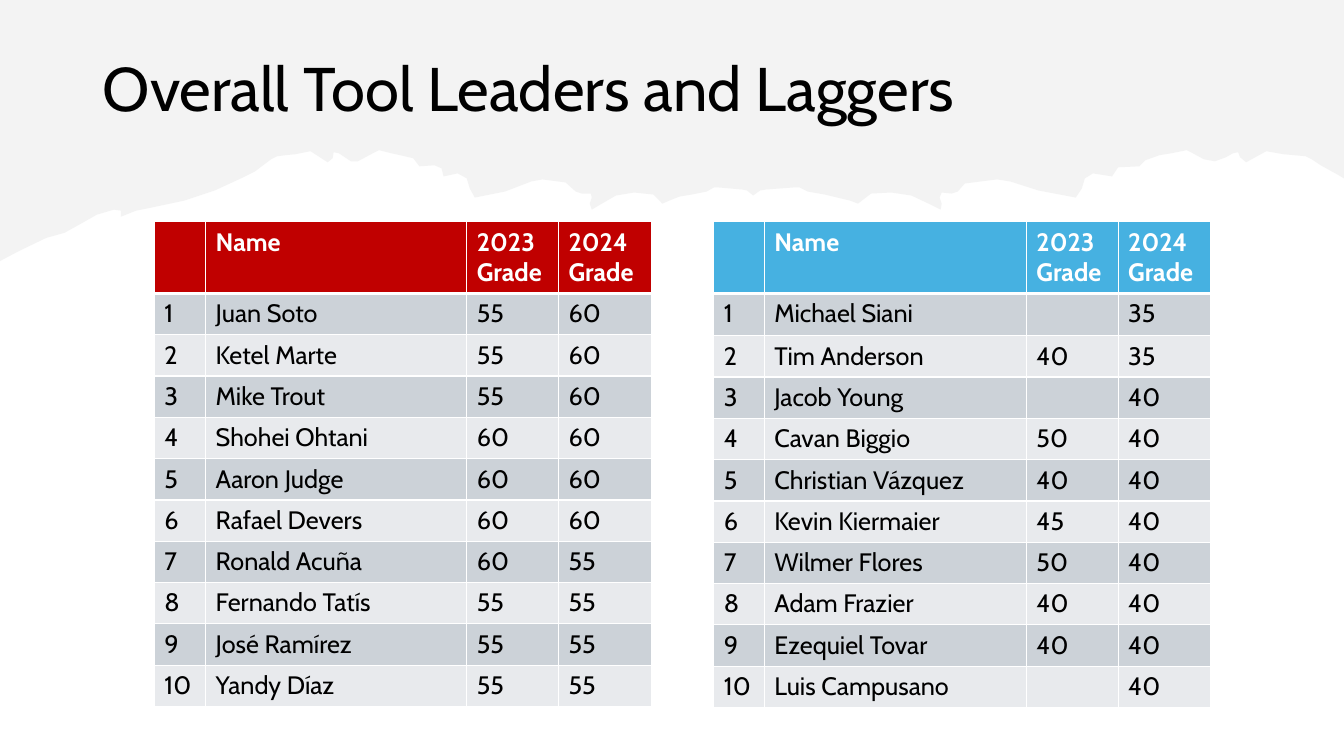
from lxml.etree import SubElement
from pptx import Presentation
from pptx.dml.color import RGBColor
from pptx.enum.text import MSO_ANCHOR, MSO_AUTO_SIZE, PP_ALIGN
from pptx.oxml.ns import qn
from pptx.util import Pt

PX = 9144  # 100 px to the inch
FONT = "Cabin"
BANDS = ["E8EAED", "CCD2D8"]
TABLE_TOP, HEADER_HEIGHT, ROW_HEIGHT = 220, 69, 41
HEADINGS = ["", "Name", "2023 Grade", "2024 Grade"]

TORN_EDGE = [
    (19, 249), (46, 236), (64, 231), (82, 221), (96, 213), (113, 208), (120, 209), (120, 215),
    (135, 209), (150, 206), (183, 199), (213, 189), (239, 177), (253, 170), (261, 164), (269, 158),
    (275, 155), (283, 154), (293, 153), (308, 150), (325, 161), (330, 157), (331, 151), (336, 152),
    (342, 156), (348, 160), (355, 160), (370, 152), (376, 149), (388, 152), (397, 154), (410, 157),
    (416, 165), (431, 164), (438, 167), (440, 175), (454, 172), (463, 177), (466, 187), (471, 196),
    (501, 190), (527, 180), (538, 178), (561, 181), (571, 190), (577, 192), (586, 192), (587, 196),
    (585, 202), (587, 208), (597, 202), (611, 194), (629, 191), (648, 193), (654, 199), (657, 202),
    (664, 199), (674, 195), (686, 193), (701, 190), (708, 186), (713, 186), (736, 188), (741, 189),
    (747, 194), (754, 189), (760, 188), (787, 186), (793, 186), (801, 190), (818, 193), (843, 199),
    (851, 202), (855, 199), (864, 192), (884, 191), (904, 194), (921, 202), (933, 208), (934, 202),
    (932, 196), (934, 191), (944, 192), (950, 190), (957, 182), (989, 178), (1002, 180), (1030, 189),
    (1067, 196), (1073, 187), (1076, 177), (1084, 172), (1103, 175), (1109, 166), (1130, 165),
    (1136, 159), (1150, 154), (1162, 152), (1177, 149), (1183, 152), (1194, 158), (1205, 160),
    (1216, 156), (1223, 152), (1228, 151), (1230, 156), (1236, 161), (1256, 150), (1273, 153),
    (1284, 154), (1295, 155), (1301, 158), (1310, 164), (1328, 174), (1333, 177), (1333, 0), (0, 0),
]

LEADERS = [
    ("Juan Soto", "55", "60"), ("Ketel Marte", "55", "60"), ("Mike Trout", "55", "60"),
    ("Shohei Ohtani", "60", "60"), ("Aaron Judge", "60", "60"), ("Rafael Devers", "60", "60"),
    ("Ronald Acuña", "60", "55"), ("Fernando Tatís", "55", "55"), ("José Ramírez", "55", "55"),
    ("Yandy Díaz", "55", "55"),
]
LAGGERS = [
    ("Michael Siani", "", "35"), ("Tim Anderson", "40", "35"), ("Jacob Young", "", "40"),
    ("Cavan Biggio", "50", "40"), ("Christian Vázquez", "40", "40"), ("Kevin Kiermaier", "45", "40"),
    ("Wilmer Flores", "50", "40"), ("Adam Frazier", "40", "40"), ("Ezequiel Tovar", "40", "40"),
    ("Luis Campusano", "", "40"),
]


def paint(color_format, color):
    color_format.rgb = RGBColor.from_string(color)


def add_border(cell, side, points):
    line = SubElement(cell._tc.get_or_add_tcPr(), qn(f"a:ln{side}"), w=str(Pt(points)))
    solid = SubElement(line, qn("a:solidFill"))
    SubElement(solid, qn("a:srgbClr"), val="FFFFFF")


deck = Presentation()
deck.slide_width, deck.slide_height = 1333 * PX, 750 * PX
page = deck.slides.add_slide(deck.slide_layouts[5])

# Title
title = page.shapes.title
title.left, title.top, title.width, title.height = 92 * PX, 40 * PX, 1150 * PX, 102 * PX
frame = title.text_frame
frame.text = "Overall Tool Leaders and Laggers"
frame.word_wrap = True
frame.auto_size = MSO_AUTO_SIZE.NONE
frame.vertical_anchor = MSO_ANCHOR.MIDDLE
para = frame.paragraphs[0]
para.alignment = PP_ALIGN.LEFT
para.line_spacing = 0.9
para.font.name, para.font.size = FONT, Pt(44)
paint(para.font.color, "000000")

# Torn paper band behind the title
builder = page.shapes.build_freeform(0, 259, scale=PX)
builder.add_line_segments(TORN_EDGE, close=True)
band = builder.convert_to_shape()
band.shadow.inherit = False
band.line.fill.background()
band.fill.solid()
paint(band.fill.fore_color, "E8E8E8")
band_color = band.element.spPr.find(qn("a:solidFill")).find(qn("a:srgbClr"))
SubElement(band_color, qn("a:alpha"), val="50000")
title.element.addprevious(band.element)

# Grade tables
for left, header_color, widths, first_height, players in [
    (153, "C00000", [51, 259, 91, 92], 41, LEADERS),
    (708, "46B1E1", [50, 260, 91, 92], 42, LAGGERS),
]:
    rows = [HEADINGS] + [(str(rank), *player) for rank, player in enumerate(players, 1)]
    heights = [HEADER_HEIGHT, first_height] + [ROW_HEIGHT] * (len(players) - 1)
    table = page.shapes.add_table(
        len(rows), len(widths), left * PX, TABLE_TOP * PX, sum(widths) * PX, sum(heights) * PX
    ).table
    table.horz_banding = False
    for column, width in zip(table.columns, widths):
        column.width = width * PX
    for r, (values, height) in enumerate(zip(rows, heights)):
        table.rows[r].height = height * PX
        is_header = r == 0
        for c, value in enumerate(values):
            cell = table.cell(r, c)
            cell.text = value
            for side in "LRTB":
                thick = (is_header and side == "B") or (r == 1 and side == "T")
                add_border(cell, side, 3 if thick else 1)
            cell.fill.solid()
            paint(cell.fill.fore_color, header_color if is_header else BANDS[r % 2])
            font = cell.text_frame.paragraphs[0].font
            font.name, font.size, font.bold = FONT, Pt(18), is_header
            paint(font.color, "FFFFFF" if is_header else "000000")

deck.save("out.pptx")
